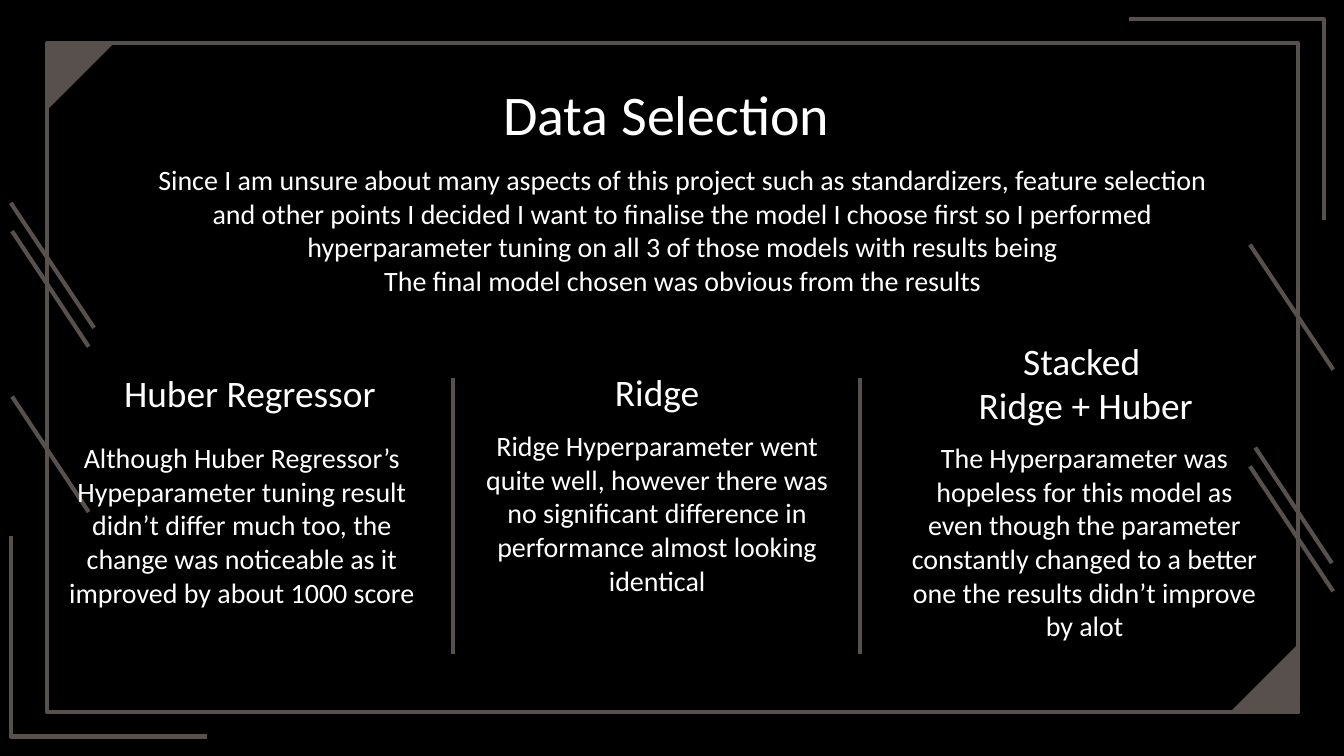
from lxml.etree import SubElement
from pptx import Presentation
from pptx.dml.color import RGBColor
from pptx.enum.shapes import MSO_CONNECTOR, MSO_SHAPE
from pptx.enum.text import MSO_ANCHOR, PP_ALIGN
from pptx.oxml.ns import qn
from pptx.util import Inches, Pt

BLACK, WHITE, TAUPE = (RGBColor.from_string(h) for h in ("000000", "FFFFFF", "57504D"))

presentation = Presentation()
presentation.slide_width = Inches(10)
presentation.slide_height = Inches(10) * 9 // 16
slide = presentation.slides.add_slide(presentation.slide_layouts[6])
slide.background.fill.solid()
slide.background.fill.fore_color.rgb = BLACK


def add_line(x1, y1, x2, y2):
    connector = slide.shapes.add_connector(
        MSO_CONNECTOR.STRAIGHT, Inches(x1), Inches(y1), Inches(x2), Inches(y2))
    connector.line.color.rgb = TAUPE
    connector.line.width = Pt(2.25)
    SubElement(connector._element.spPr, qn("a:effectLst"))


def add_text(left, top, width, height, lines, size, anchor=MSO_ANCHOR.TOP, indent=0):
    """Add a centred white text box with one paragraph per line."""
    box = slide.shapes.add_textbox(Inches(left), Inches(top), Inches(width), Inches(height))
    frame = box.text_frame
    frame.word_wrap = True
    frame.vertical_anchor = anchor
    for side in ("left", "top", "right", "bottom"):
        setattr(frame, f"margin_{side}", Inches(0.1))
    frame.text = "\n".join(lines)
    for paragraph in frame.paragraphs:
        paragraph.alignment = PP_ALIGN.CENTER
        if indent:
            properties = paragraph._p.get_or_add_pPr()
            properties.set("marL", str(Inches(indent)))
            properties.set("indent", "0")
        font = paragraph.runs[0].font
        for name, value in {"name": "Calibri", "size": Pt(size)}.items():
            setattr(font, name, value)
        font.color.rgb = WHITE


# Frame with filled corners
border = slide.shapes.add_shape(
    MSO_SHAPE.RECTANGLE, Inches(0.35), Inches(0.32), Inches(9.31), Inches(4.98))
border.shadow.inherit = False
border.fill.background()
border.line.color.rgb = TAUPE
border.line.width = Pt(2.25)

for left, top, rotation in [(9.15, 4.8, 270), (0.35, 0.32, 90)]:
    corner = slide.shapes.add_shape(
        MSO_SHAPE.RIGHT_TRIANGLE, Inches(left), Inches(top), Inches(0.5), Inches(0.5))
    corner.rotation = rotation
    corner.shadow.inherit = False
    corner.fill.solid()
    corner.fill.fore_color.rgb = TAUPE
    corner.line.fill.background()

# Diagonal strokes at both sides
SHORT, LONG = (0.57, 0.86), (0.62, 0.93)
for left, top, (width, height) in [
    (9.34, 3.33, SHORT), (0.09, 1.72, SHORT), (0.09, 2.95, SHORT),
    (0.08, 1.51, LONG), (9.3, 3.47, LONG), (9.3, 1.82, LONG),
]:
    add_line(left, top, left + width, top + height)

# Open brackets at two corners
for points in [
    [(0.08, 3.99), (0.08, 5.48), (1.54, 5.48)],
    [(9.85, 1.64), (9.85, 0.14), (8.4, 0.14)],
]:
    start, *others = [(Inches(x), Inches(y)) for x, y in points]
    builder = slide.shapes.build_freeform(*start)
    builder.add_line_segments(others, close=False)
    bracket = builder.convert_to_shape()
    bracket.shadow.inherit = False
    bracket.fill.background()
    bracket.line.color.rgb = TAUPE
    bracket.line.width = Pt(2.25)

add_text(0.79, 0.49, 8.43, 0.63, ["Data Selection "], 30)
add_text(0.79, 1.11, 8.43, 1.02, [
    "Since I am unsure about many aspects of this project such as standardizers, "
    "feature selection and other points I decided I want to finalise the model I "
    "choose first so I performed hyperparameter tuning on all 3 of those models "
    "with results being",
    "The final model chosen was obvious from the results",
], 15, indent=0.15)

# Column dividers
for x in (3.37, 6.4):
    add_line(x, 2.81, x, 4.87)

# Model columns: heading box, heading lines, body box, body text
columns = [
    ((0.51, 2.61, 2.7, 0.58), ["Huber Regressor"], (0.24, 3.18, 2.97, 1.47),
     "Although Huber Regressor’s Hypeparameter tuning result didn’t differ much too, "
     "the change was noticeable as it improved by about 1000 score"),
    ((3.54, 2.63, 2.7, 0.55), ["Ridge"], (3.33, 3.09, 2.97, 1.56),
     "Ridge Hyperparameter went quite well, however there was no significant "
     "difference in performance almost looking identical"),
    ((6.73, 2.73, 2.7, 0.55), ["Stacked ", "Ridge + Huber"], (6.51, 3.18, 2.97, 1.47),
     "The Hyperparameter was hopeless for this model as even though the parameter "
     "constantly changed to a better one the results didn’t improve by alot"),
]
for heading_box, heading, body_box, body in columns:
    add_text(*heading_box, heading, 20, anchor=MSO_ANCHOR.BOTTOM)
    add_text(*body_box, [body], 15, indent=0.15)

presentation.save("out.pptx")
